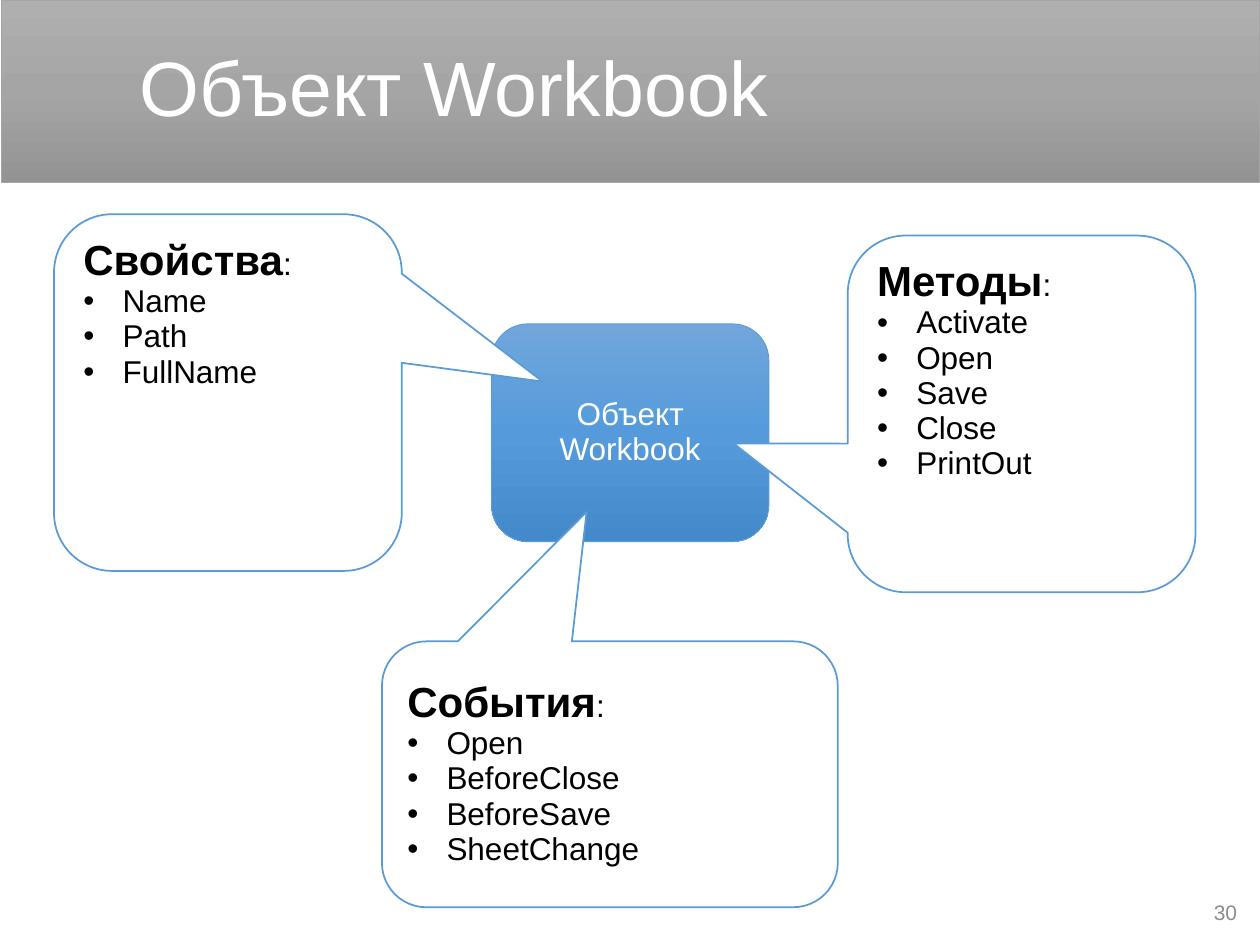
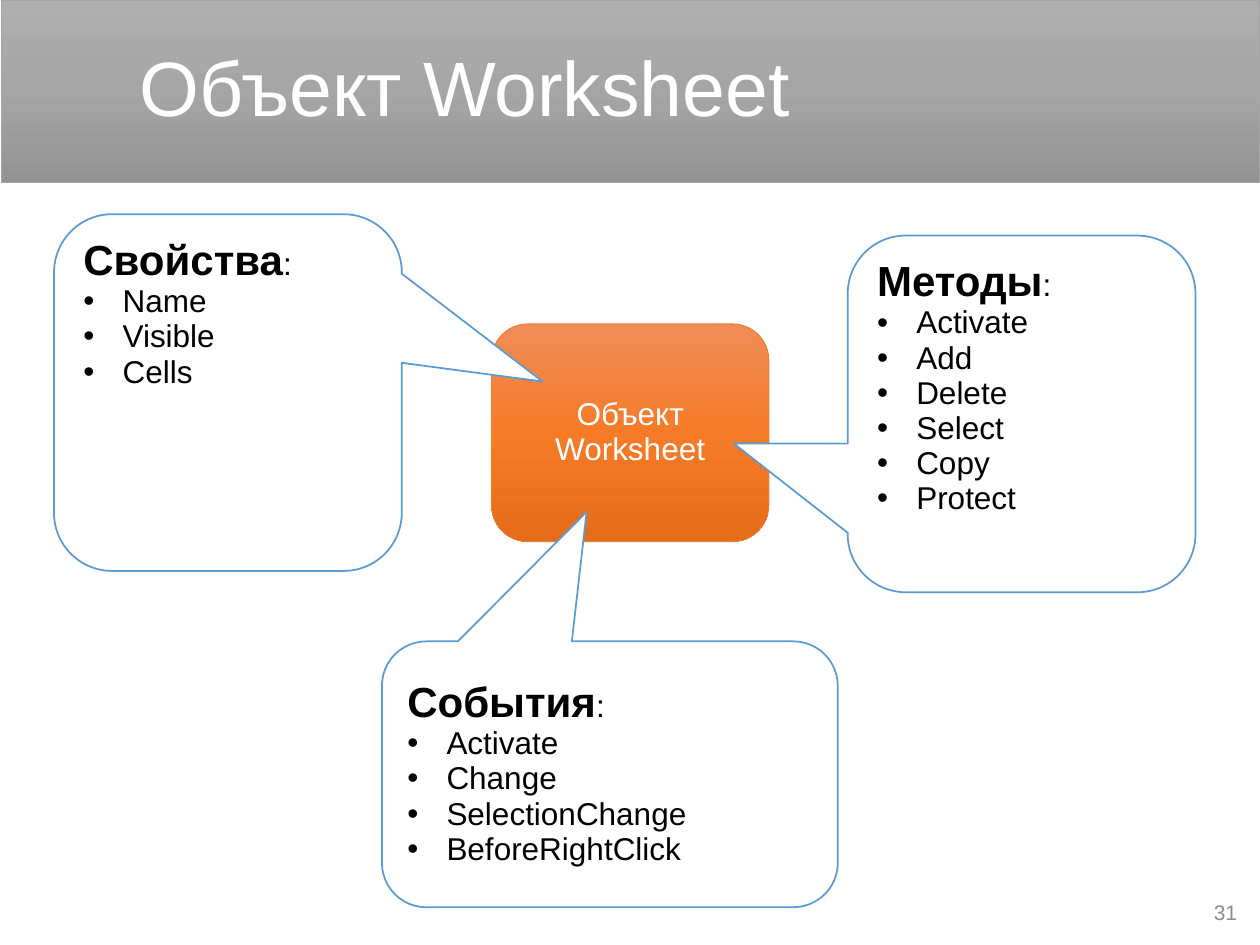
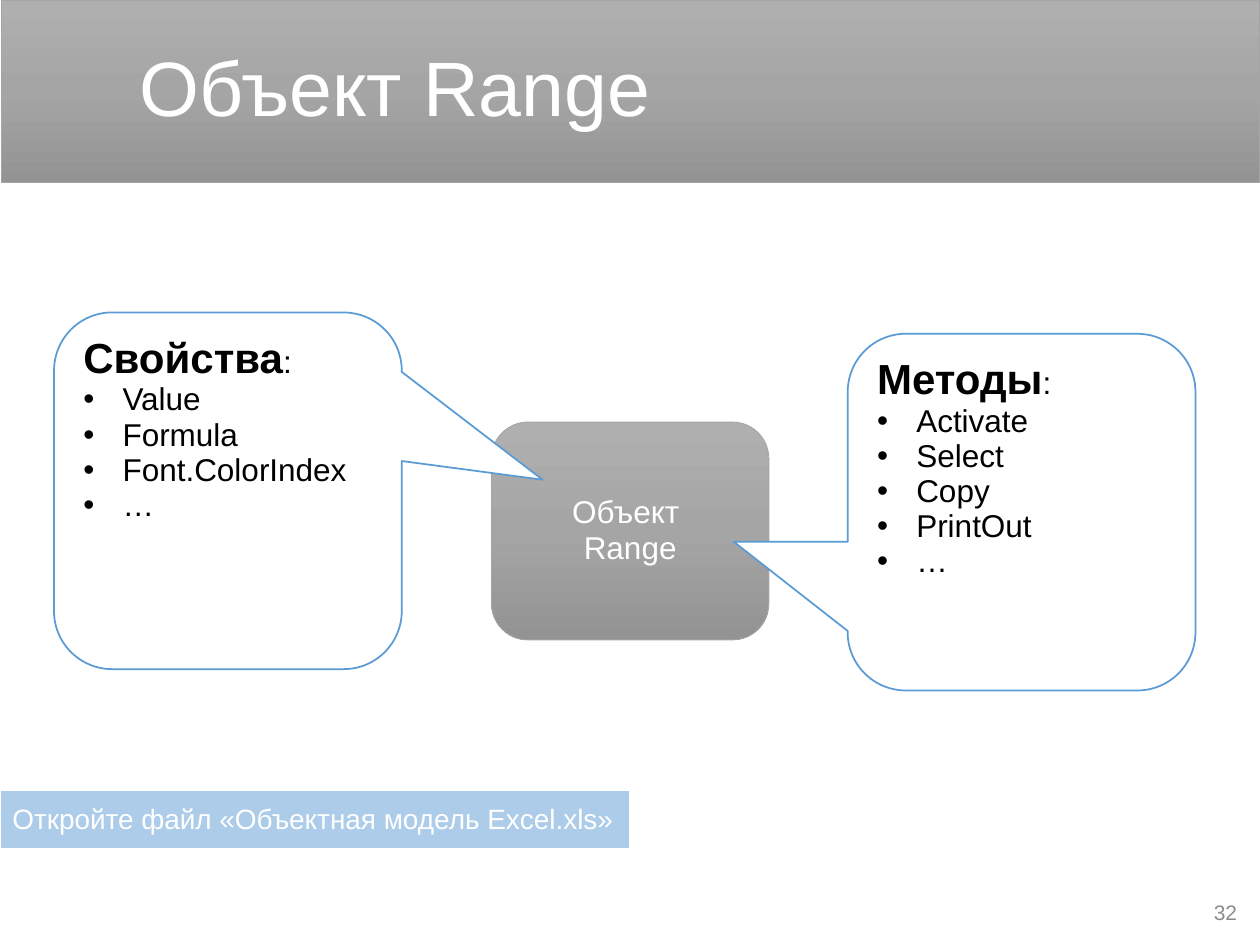
"""Build three slides on the properties, methods and events of spreadsheet objects."""

from copy import deepcopy
from dataclasses import dataclass, field
from typing import NamedTuple

from lxml.etree import SubElement
from pptx import Presentation
from pptx.dml.color import RGBColor
from pptx.enum.shapes import MSO_SHAPE as Preset
from pptx.enum.text import MSO_ANCHOR as Anchor, PP_ALIGN as Align
from pptx.oxml.ns import qn
from pptx.util import Cm, Pt


class Palette(NamedTuple):
    line: str
    stops: tuple[str, str, str]


class Box(NamedTuple):
    left: float
    top: float
    width: float
    height: float

    def lowered(self, drop: float) -> "Box":
        return self._replace(top=self.top + drop)

    def lengths(self) -> list:
        return [Cm(value) for value in self]


@dataclass(frozen=True)
class Theme:
    font: str = "Arial"
    white: str = "FFFFFF"
    black: str = "000000"
    number: str = "8C8C8C"
    blue: Palette = Palette("5B9BD5", ("71A6DB", "559BDB", "448ACA"))
    orange: Palette = Palette("ED7D31", ("F18C57", "F67B28", "E56C19"))
    gray: Palette = Palette("A5A5A5", ("AFAFAF", "A5A5A5", "939393"))
    title_size: int = 44
    heading_size: int = 24
    body_size: int = 18
    banner_size: int = 16
    number_size: int = 12
    title_spacing: float = 0.9
    body_spacing: float = 0.93
    bullet_indent: float = 0.79


class CalloutStyle(NamedTuple):
    heading: str
    box: Box
    tip: tuple[float, float]
    margin_top: float = 0.13


@dataclass(frozen=True)
class ObjectSlide:
    number: int
    name: str
    palette: Palette
    members: dict[str, list[str]]
    separator: str = " "
    drop: float = 0
    banner: str = ""


THEME = Theme()
TITLE_BOX = Box(0.03, 0, 25.37, 3.68)
NUMBER_BOX = Box(24.1, 17.93, 1.09, 0.91)
OBJECT_BOX = Box(9.91, 6.53, 5.59, 4.39)
BANNER_BOX = Box(0, 15.93, 12.7, 1.19)
CORNER = 0.167
CALLOUTS = [
    CalloutStyle("Свойства", Box(1.09, 4.32, 7.01, 7.19), (0.905, -0.031)),
    CalloutStyle("События", Box(7.7, 12.93, 9.19, 5.36), (-0.051, -0.987), 0.51),
    CalloutStyle("Методы", Box(17.09, 4.75, 7.01, 7.19), (-0.828, 0.083)),
]

SLIDES = [
    ObjectSlide(30, "Workbook", THEME.blue, {
        "Свойства": ["Name", "Path", "FullName"],
        "События": ["Open", "BeforeClose", "BeforeSave", "SheetChange"],
        "Методы": ["Activate", "Open", "Save", "Close", "PrintOut"],
    }),
    ObjectSlide(31, "Worksheet", THEME.orange, {
        "Свойства": ["Name", "Visible", "Cells"],
        "События": ["Activate", "Change", "SelectionChange", "BeforeRightClick"],
        "Методы": ["Activate", "Add", "Delete", "Select", "Copy", "Protect"],
    }),
    ObjectSlide(32, "Range", THEME.gray, {
        "Свойства": ["Value", "Formula", "Font.ColorIndex", "…"],
        "Методы": ["Activate", "Select", "Copy", "PrintOut", "…"],
    }, separator=" \v", drop=1.98,
        banner="Откройте файл «Объектная модель Excel.xls»"),
]


def set_all(target, values: dict) -> None:
    for name, value in values.items():
        setattr(target, name, value)


def style_font(font, size: int, color: str, bold: bool = False) -> None:
    set_all(font, {"name": THEME.font, "size": Pt(size), "bold": bold})
    font.color.rgb = RGBColor.from_string(color)


def add_run(paragraph, text: str, size: int, color: str, bold: bool = False) -> None:
    run = paragraph.add_run()
    run.text = text
    style_font(run.font, size, color, bold)


def write_line(shape, text: str, size: int, color: str = THEME.white,
               align=Align.LEFT, spacing: float = THEME.body_spacing) -> None:
    set_all(shape.text_frame, {"word_wrap": True, "vertical_anchor": Anchor.MIDDLE})
    paragraph = shape.text_frame.paragraphs[0]
    paragraph.text = text
    set_all(paragraph, {"alignment": align, "line_spacing": spacing})
    for run in paragraph.runs:
        style_font(run.font, size, color)


def add_outlined(slide, preset, box: Box, line: str, width: float):
    shape = slide.shapes.add_shape(preset, *box.lengths())
    shape.shadow.inherit = False
    shape.line.color.rgb = RGBColor.from_string(line)
    shape.line.width = Pt(width)
    return shape


def fill_solid(shape, color: str) -> None:
    shape.fill.solid()
    shape.fill.fore_color.rgb = RGBColor.from_string(color)


def add_gradient_shape(slide, preset, box: Box, palette: Palette):
    shape = add_outlined(slide, preset, box, palette.line, 0.5)
    shape.fill.gradient()
    shape.fill.gradient_angle = 270
    stop_list = shape.element.spPr.find(".//" + qn("a:gsLst"))
    stop_list.append(deepcopy(stop_list[0]))
    for index, (stop, color) in enumerate(zip(shape.fill.gradient_stops, palette.stops)):
        stop.position = index / 2
        stop.color.rgb = RGBColor.from_string(color)
    return shape


def add_bullet(paragraph) -> None:
    properties = paragraph._p.get_or_add_pPr()
    indent = Cm(THEME.bullet_indent)
    properties.set("marL", str(indent))
    properties.set("indent", str(-indent))
    bullet_color = SubElement(properties, qn("a:buClr"))
    SubElement(bullet_color, qn("a:srgbClr"), val=THEME.black)
    SubElement(properties, qn("a:buFont"), typeface=THEME.font)
    SubElement(properties, qn("a:buChar"), char="•")


def add_callout(slide, style: CalloutStyle, members: list[str], drop: float) -> None:
    shape = add_outlined(slide, Preset.ROUNDED_RECTANGULAR_CALLOUT,
                         style.box.lowered(drop), THEME.blue.line, 1)
    fill_solid(shape, THEME.white)
    for index, value in enumerate((*style.tip, CORNER)):
        shape.adjustments[index] = value
    frame = shape.text_frame
    set_all(frame, {"word_wrap": True, "vertical_anchor": Anchor.TOP,
                    "margin_top": Cm(style.margin_top)})
    paragraph_format = {"alignment": Align.LEFT, "line_spacing": THEME.body_spacing}
    heading = frame.paragraphs[0]
    set_all(heading, paragraph_format)
    add_run(heading, style.heading, THEME.heading_size, THEME.black, bold=True)
    add_run(heading, ":", THEME.body_size, THEME.black)
    for member in members:
        paragraph = frame.add_paragraph()
        add_bullet(paragraph)
        set_all(paragraph, paragraph_format)
        add_run(paragraph, member, THEME.body_size, THEME.black)


def add_title(slide, text: str) -> None:
    band = add_gradient_shape(slide, Preset.RECTANGLE, TITLE_BOX, THEME.gray)
    band.text_frame.margin_left = Cm(2.79)
    write_line(band, text, THEME.title_size, spacing=THEME.title_spacing)


def add_number(slide, number: int) -> None:
    box = slide.shapes.add_textbox(*NUMBER_BOX.lengths())
    write_line(box, str(number), THEME.number_size, THEME.number, Align.RIGHT, 1.0)


def add_banner(slide, text: str) -> None:
    banner = add_outlined(slide, Preset.RECTANGLE, BANNER_BOX, THEME.white, 1.5)
    fill_solid(banner, THEME.blue.line)
    color = banner.element.spPr.find(qn("a:solidFill"))[0]
    SubElement(color, qn("a:alpha"), val="50000")
    write_line(banner, text, THEME.banner_size)


def build_slide(presentation, content: ObjectSlide) -> None:
    slide = presentation.slides.add_slide(presentation.slide_layouts[6])
    center = add_gradient_shape(slide, Preset.ROUNDED_RECTANGLE,
                                OBJECT_BOX.lowered(content.drop), content.palette)
    write_line(center, f"Объект{content.separator}{content.name}",
               THEME.body_size, align=Align.CENTER)
    add_title(slide, f"Объект {content.name}")
    add_number(slide, content.number)
    for style in CALLOUTS:
        if style.heading in content.members:
            add_callout(slide, style, content.members[style.heading], content.drop)
    if content.banner:
        add_banner(slide, content.banner)


def main() -> None:
    presentation = Presentation()
    set_all(presentation, {"slide_width": Cm(25.4), "slide_height": Cm(19.05)})
    for content in SLIDES:
        build_slide(presentation, content)
    presentation.save("out.pptx")


if __name__ == "__main__":
    main()
